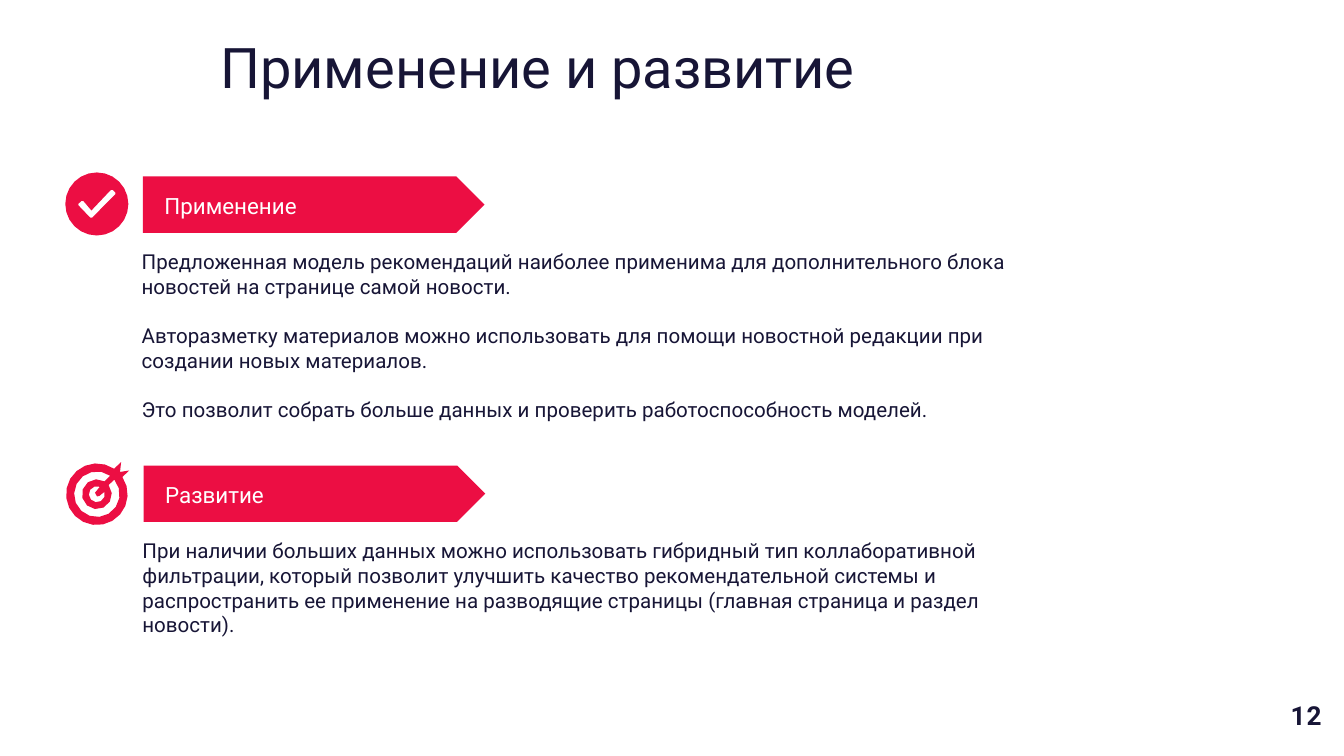
import math
from pptx import Presentation
from pptx import util as u
from pptx.dml.color import RGBColor
from pptx.enum import shapes, text

RED = RGBColor(0xEC, 0x0E, 0x43)
NAVY = RGBColor(0x17, 0x15, 0x36)
WHITE = RGBColor(0xFF, 0xFF, 0xFF)

prs = Presentation()
prs.slide_width, prs.slide_height = u.Pt(720), u.Pt(405)
s = prs.slides.add_slide(prs.slide_layouts[6])


def add_text(x, y, w, h, paragraphs, size, color, anchor=text.MSO_ANCHOR.TOP, inset=7.2):
    sp = s.shapes.add_textbox(u.Pt(x), u.Pt(y), u.Pt(w), u.Pt(h))
    tf = sp.text_frame
    tf.word_wrap = True
    tf.vertical_anchor = anchor
    tf.margin_left = tf.margin_right = tf.margin_top = tf.margin_bottom = u.Pt(inset)
    for i, line in enumerate(paragraphs):
        p = tf.paragraphs[0] if i == 0 else tf.add_paragraph()
        if i:
            p.space_before = u.Pt(13.2)
        r = p.add_run()
        r.text = line
        r.font.size = u.Pt(size)
        r.font.name = "Roboto"
        r.font.color.rgb = color
    return tf


def arc(cx, cy, radius, start, end, steps):
    angles = [math.radians(start + (end - start) * i / steps) for i in range(steps + 1)]
    return [(cx + radius * math.cos(a), cy + radius * math.sin(a)) for a in angles]


sections = [
    (76.6, 94.5, 494, "Применение", [
        "Предложенная модель рекомендаций наиболее применима для дополнительного блока новостей на странице самой новости.",
        "Авторазметку материалов можно использовать для помощи новостной редакции при создании новых материалов.",
        "Это позволит собрать больше данных и проверить работоспособность моделей.",
    ]),
    (77, 249.4, 502, "Развитие", [
        "При наличии больших данных можно использовать гибридный тип коллаборативной фильтрации, который позволит улучшить качество рекомендательной системы и распространить ее применение на разводящие страницы (главная страница и раздел новости).",
    ]),
]
for x, y, width, heading, body in sections:
    sp = s.shapes.add_shape(shapes.MSO_SHAPE.PENTAGON, u.Pt(x), u.Pt(y), u.Pt(183), u.Pt(30.2))
    sp.shadow.inherit = False
    sp.fill.solid()
    sp.fill.fore_color.rgb = RED
    sp.line.fill.background()
    add_text(x + 4.4, y + 3.4, 163.4, 26.6, [heading], 12, WHITE, text.MSO_ANCHOR.BOTTOM)
    add_text(x - 7.8, y + 31.8, width, 105 if len(body) > 1 else 63, body, 11, NAVY)

add_text(111, 13, 617, 47.5, ["Применение и развитие"], 30, NAVY, text.MSO_ANCHOR.BOTTOM)

tf = add_text(688.6, 374.7, 23.8, 17.3, ["12"], 14, NAVY, inset=0)
tf.margin_left = u.Pt(2.9)
r = tf.paragraphs[0].runs[0]
r.font.bold = True
r.font._element.set("spc", "50")

cx, check_y, target_y = 51.9, 109.3, 264.8
check = [
    arc(cx, check_y, 16.9, 0, 345, 23),
    [(42, 109.2), (43.8, 107.6), (44.8, 107.8), (49, 112.8), (59.4, 101.8),
     (60.4, 101.7), (61.9, 103.2), (61.9, 104), (49.4, 116.7), (48.4, 116.7), (42, 110)],
]
target = [
    arc(cx, target_y, 16.5, -56, -394, 18) + [(69.2, 252.1), (64.3, 252.9), (64.9, 247.6)],
    arc(cx, target_y, 8, -59, -398, 10) + arc(cx, target_y, 12.2, -400, -54, 14),
    arc(cx, target_y, 4.3, -68, -378, 8) + [(53.3, 265.7), (52, 266), (50.9, 264)],
]
for contours in (target, check):
    builder = None
    for contour in contours:
        points = [(u.Pt(x), u.Pt(y)) for x, y in contour]
        if builder is None:
            builder = s.shapes.build_freeform(*points[0])
        else:
            builder.move_to(*points[0])
        builder.add_line_segments(points[1:], close=True)
    sp = builder.convert_to_shape()
    sp.shadow.inherit = False
    sp.fill.solid()
    sp.fill.fore_color.rgb = RED
    sp.line.fill.background()

prs.save("out.pptx")
